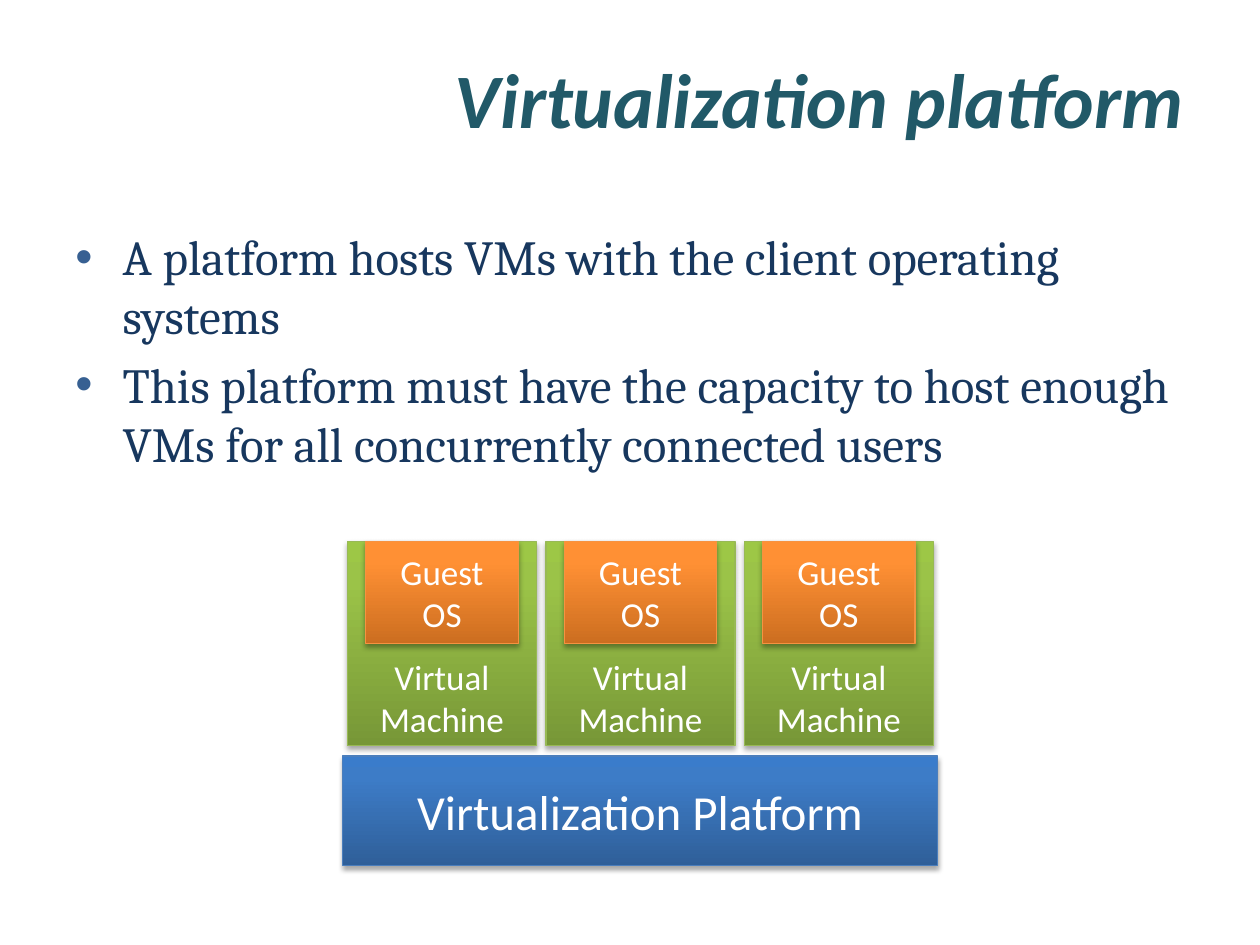
from copy import deepcopy

from lxml import etree
from pptx import Presentation
from pptx.dml.color import RGBColor
from pptx.enum.shapes import MSO_SHAPE
from pptx.enum.text import MSO_ANCHOR, PP_ALIGN
from pptx.oxml.ns import qn
from pptx.util import Pt

RECT = MSO_SHAPE.RECTANGLE
LEFT, CENTER, RIGHT = PP_ALIGN.LEFT, PP_ALIGN.CENTER, PP_ALIGN.RIGHT
TOP, MIDDLE, BOTTOM = MSO_ANCHOR.TOP, MSO_ANCHOR.MIDDLE, MSO_ANCHOR.BOTTOM

WHITE = RGBColor(0xFF, 0xFF, 0xFF)
TEAL = RGBColor(0x21, 0x59, 0x68)
NAVY = RGBColor(0x17, 0x37, 0x5E)
BULLET_BLUE = RGBColor(0x37, 0x60, 0x92)

# Each palette: line colour, then gradient colours from bottom to top
BLUE = (RGBColor(0x4B, 0x7E, 0xBC), RGBColor(0x2F, 0x5F, 0x99),
        RGBColor(0x3D, 0x7C, 0xC7), RGBColor(0x3A, 0x7C, 0xCB))
GREEN = (RGBColor(0x98, 0xB9, 0x55), RGBColor(0x77, 0x97, 0x37),
         RGBColor(0x9B, 0xC3, 0x48), RGBColor(0x9D, 0xC7, 0x46))
ORANGE = (RGBColor(0xF6, 0x92, 0x40), RGBColor(0xCC, 0x6E, 0x20),
          RGBColor(0xFF, 0x90, 0x34), RGBColor(0xFF, 0x91, 0x36))
GRADIENT_POSITIONS = (0, 0.8, 1)


def sub(parent, tag, **attrs):
    return etree.SubElement(parent, qn(tag), attrs)


def add_bullet(p):
    pPr = p._p.get_or_add_pPr()
    pPr.set("marL", str(Pt(27)))
    pPr.set("indent", str(Pt(-27)))
    sub(sub(pPr, "a:buClr"), "a:srgbClr", val=str(BULLET_BLUE))
    sub(pPr, "a:buFont", typeface="Arial")
    sub(pPr, "a:buChar", char="•")


def add_text(tf, *lines, size, font="Calibri", color=WHITE, align=CENTER,
             anchor=MIDDLE, bold=False, italic=False, bullet=False, gap=0):
    tf.word_wrap = True
    tf.vertical_anchor = anchor
    for i, line in enumerate(lines):
        p = tf.add_paragraph() if i else tf.paragraphs[0]
        p.alignment = align
        if i:
            p.space_before = Pt(gap)
        if bullet:
            add_bullet(p)
        r = p.add_run()
        r.text = line
        r.font.name, r.font.size = font, Pt(size)
        r.font.bold, r.font.italic = bold, italic
        r.font.color.rgb = color


class Deck:
    def __init__(self, width, height):
        self.prs = Presentation()
        self.prs.slide_width, self.prs.slide_height = Pt(width), Pt(height)
        self.s = self.prs.slides.add_slide(self.prs.slide_layouts[6])

    def text(self, x, y, w, h, *lines, **fmt):
        sp = self.s.shapes.add_textbox(Pt(x), Pt(y), Pt(w), Pt(h))
        add_text(sp.text_frame, *lines, **fmt)

    def block(self, x, y, w, h, label, palette, **fmt):
        """Add a labelled rectangle with a vertical gradient and soft shadow."""
        line, *colors = palette
        sp = self.s.shapes.add_shape(RECT, Pt(x), Pt(y), Pt(w), Pt(h))
        sp.line.color.rgb = line
        sp.line.width = Pt(0.75)
        self.gradient(sp, colors)
        self.shadow(sp)
        add_text(sp.text_frame, label, **fmt)

    def gradient(self, sp, colors):
        sp.fill.gradient()
        sp.fill.gradient_angle = 90
        stops = sp._element.spPr.find(".//" + qn("a:gsLst"))
        stops.append(deepcopy(stops[0]))
        for stop, position, color in zip(sp.fill.gradient_stops,
                                         GRADIENT_POSITIONS, colors):
            stop.position = position
            stop.color.rgb = color

    def shadow(self, sp):
        sp.shadow.inherit = False
        effects = sp._element.spPr.find(qn("a:effectLst"))
        shadow = sub(effects, "a:outerShdw", blurRad=str(Pt(3.1)),
                     dist=str(Pt(1.8)), dir="5400000", rotWithShape="0")
        sub(sub(shadow, "a:srgbClr", val="000000"), "a:alpha", val="35000")


def main():
    deck = Deck(720, 540)
    deck.text(36, 21.6, 648, 68.4, "Virtualization platform", size=44,
              color=TEAL, align=RIGHT, bold=True, italic=True)
    deck.text(36, 126, 648, 356.4,
              "A platform hosts VMs with the client operating systems",
              "This platform must have the capacity to host enough VMs "
              "for all concurrently connected users",
              size=28, font="Cambria", color=NAVY, align=LEFT, anchor=TOP,
              bullet=True, gap=5.6)

    deck.block(195.8, 432, 339.8, 62.6, "Virtualization Platform", BLUE, size=28)

    vm_left, vm_top, vm_step = 198.6, 309.6, 113.4
    for i in range(3):
        x = vm_left + i * vm_step
        deck.block(x, vm_top, 108, 116.6, "Virtual Machine", GREEN,
                   size=20, anchor=BOTTOM)
        deck.block(x + 10.4, vm_top, 87.2, 58.3, "Guest OS", ORANGE, size=20)

    deck.prs.save("out.pptx")


if __name__ == "__main__":
    main()
